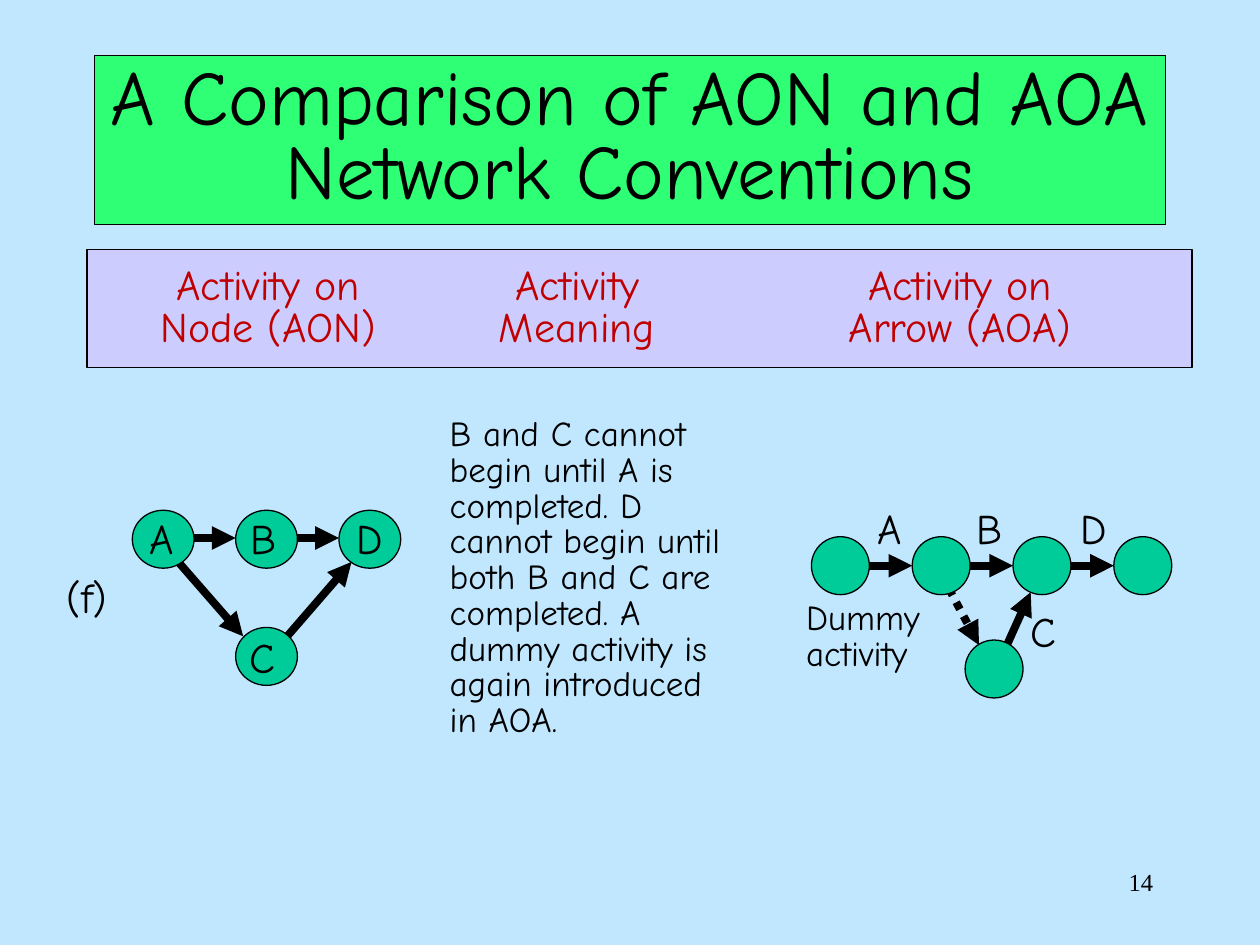
import pptx
import pptx.util
import pptx.dml.color
import pptx.enum.dml
import pptx.enum.shapes
import pptx.enum.text
import pptx.oxml
import pptx.oxml.ns
import lxml.etree

Inches = pptx.util.Inches
Pt = pptx.util.Pt
ALIGN = pptx.enum.text.PP_ALIGN

THEME = {
    "background": "C1E7FF", "title_fill": "2FFF74", "header_fill": "CCCCFF",
    "node": "00CC99", "ink": "000000", "header_ink": "C00000",
    "font": "Comic Neue", "number_font": "Times New Roman",
    "title_size": 44, "label_size": 24, "body_size": 20, "number_size": 14,
    "outline": 0.75, "arrow": 4.5,
}

TITLE = "A Comparison of AON and AOA Network Conventions"
HEADER_ROWS = [
    ("Activity on", "Activity", "Activity on"),
    ("Node (AON)", "Meaning", "Arrow (AOA)"),
]
HEADER_TABS = [1.18, 3.63, 6.67]
MEANING = ("B and C cannot begin until A is completed. D cannot begin until "
           "both B and C are completed. A dummy activity is again introduced in AOA.")

NETWORKS = [
    {
        "node_size": (0.49, 0.46),
        "row": {"left": 1.05, "top": 4.05, "pitch": 0.82, "count": 3},
        "lower_node": (1.87, 4.98),
        "arrow_start": 0.31, "arrow_drop": 0.22,
        "diagonals": [
            ((1.38, 4.42), (1.93, 5.05), False),
            ((2.21, 5.13), (2.79, 4.46), False),
        ],
        "labels": [("A", 1.09, 4.02), ("B", 1.89, 4.02), ("D", 2.73, 4.02),
                   ("C", 1.88, 4.96)],
    },
    {
        "node_size": (0.46, 0.46),
        "row": {"left": 6.44, "top": 4.26, "pitch": 0.8, "count": 4},
        "lower_node": (7.66, 5.08),
        "arrow_start": 0.29, "arrow_drop": 0.23,
        "diagonals": [
            ((7.96, 5.19), (8.18, 4.7), False),
            ((7.53, 4.67), (7.77, 5.12), True),
        ],
        "labels": [("A", 6.87, 3.94), ("B", 7.65, 3.94), ("D", 8.48, 3.94),
                   ("C", 8.08, 4.76)],
    },
]


def color(name):
    return pptx.dml.color.RGBColor.from_string(THEME[name])


def style_paragraph(paragraph, size, ink="ink", font="font", align=ALIGN.LEFT, spacing=None):
    paragraph.alignment = align
    if spacing:
        paragraph.line_spacing = spacing
    paragraph.font.size = Pt(THEME[size])
    paragraph.font.name = THEME[font]
    paragraph.font.color.rgb = color(ink)


def paint(shape, fill):
    shape.shadow.inherit = False
    shape.fill.solid()
    shape.fill.fore_color.rgb = color(fill)
    shape.line.color.rgb = color("ink")
    shape.line.width = Pt(THEME["outline"])


def add_text(slide, text, box, size, wrap=True, **style):
    frame = slide.shapes.add_textbox(*map(Inches, box)).text_frame
    frame.word_wrap = wrap
    frame.text = text
    style_paragraph(frame.paragraphs[0], size, **style)


def add_title(slide):
    title = slide.shapes.title
    title.left, title.top, title.width, title.height = map(Inches, (0.75, 0.44, 8.5, 1.34))
    paint(title, "title_fill")
    frame = title.text_frame
    frame.text = TITLE
    frame.word_wrap = True
    frame.auto_size = pptx.enum.text.MSO_AUTO_SIZE.NONE
    frame.vertical_anchor = pptx.enum.text.MSO_ANCHOR.MIDDLE
    style_paragraph(frame.paragraphs[0], "title_size", align=ALIGN.CENTER, spacing=0.8)


def add_header(slide):
    header = slide.shapes.add_shape(pptx.enum.shapes.MSO_SHAPE.RECTANGLE,
                                    *map(Inches, (0.69, 1.98, 8.77, 0.94)))
    paint(header, "header_fill")
    frame = header.text_frame
    frame.word_wrap = True
    frame.vertical_anchor = pptx.enum.text.MSO_ANCHOR.TOP
    frame.margin_left = frame.margin_right = Inches(0.26)
    frame.margin_top = frame.margin_bottom = Inches(0.13)
    frame.text = "\n".join("".join("\t" + cell for cell in row) for row in HEADER_ROWS)
    for paragraph in frame.paragraphs:
        paragraph.line_spacing = 0.85
        properties = paragraph._p.get_or_add_pPr()
        tabs = lxml.etree.SubElement(properties, pptx.oxml.ns.qn("a:tabLst"))
        for stop in HEADER_TABS:
            lxml.etree.SubElement(tabs, pptx.oxml.ns.qn("a:tab"),
                                  pos=str(Inches(stop)), algn="ctr")
        style_paragraph(paragraph, "label_size", ink="header_ink")


def add_arrow(slide, start, end, dotted=False):
    arrow = slide.shapes.add_connector(pptx.enum.shapes.MSO_CONNECTOR.STRAIGHT,
                                       *map(Inches, start + end))
    arrow.line.color.rgb = color("ink")
    arrow.line.width = Pt(THEME["arrow"])
    if dotted:
        arrow.line.dash_style = pptx.enum.dml.MSO_LINE.ROUND_DOT
    lxml.etree.SubElement(arrow.line._get_or_add_ln(), pptx.oxml.ns.qn("a:tailEnd"),
                          type="triangle")
    lxml.etree.SubElement(arrow._element.spPr, pptx.oxml.ns.qn("a:effectLst"))


def add_network(slide, network):
    row = network["row"]
    lefts = [row["left"] + i * row["pitch"] for i in range(row["count"])]
    arrow_y = row["top"] + network["arrow_drop"]
    for left, next_left in zip(lefts, lefts[1:]):
        add_arrow(slide, (left + network["arrow_start"], arrow_y), (next_left, arrow_y))
    for start, end, dotted in network["diagonals"]:
        add_arrow(slide, start, end, dotted)
    for corner in [(left, row["top"]) for left in lefts] + [network["lower_node"]]:
        node = slide.shapes.add_shape(pptx.enum.shapes.MSO_SHAPE.OVAL,
                                      *map(Inches, corner + network["node_size"]))
        paint(node, "node")
    for text, left, top in network["labels"]:
        add_text(slide, text, (left, top, 0.4, 0.5), "label_size", wrap=False)


def main():
    deck = pptx.Presentation()
    deck.slide_width, deck.slide_height = Inches(10), Inches(7.5)
    slide = deck.slides.add_slide(deck.slide_layouts.get_by_name("Title Only"))
    slide.background.fill.solid()
    slide.background.fill.fore_color.rgb = color("background")
    add_title(slide)
    add_header(slide)
    add_text(slide, MEANING, (3.47, 3.27, 2.48, 2.65), "body_size", spacing=0.85)
    add_text(slide, "(f)", (0.43, 4.49, 0.6, 0.5), "label_size")
    for network in NETWORKS:
        add_network(slide, network)
    add_text(slide, "Dummy activity", (6.3, 4.73, 1.4, 0.67), "body_size", spacing=0.85)
    add_text(slide, "14", (7.17, 6.83, 2.08, 0.5), "number_size",
             font="number_font", align=ALIGN.RIGHT)
    deck.save("out.pptx")


if __name__ == "__main__":
    main()
